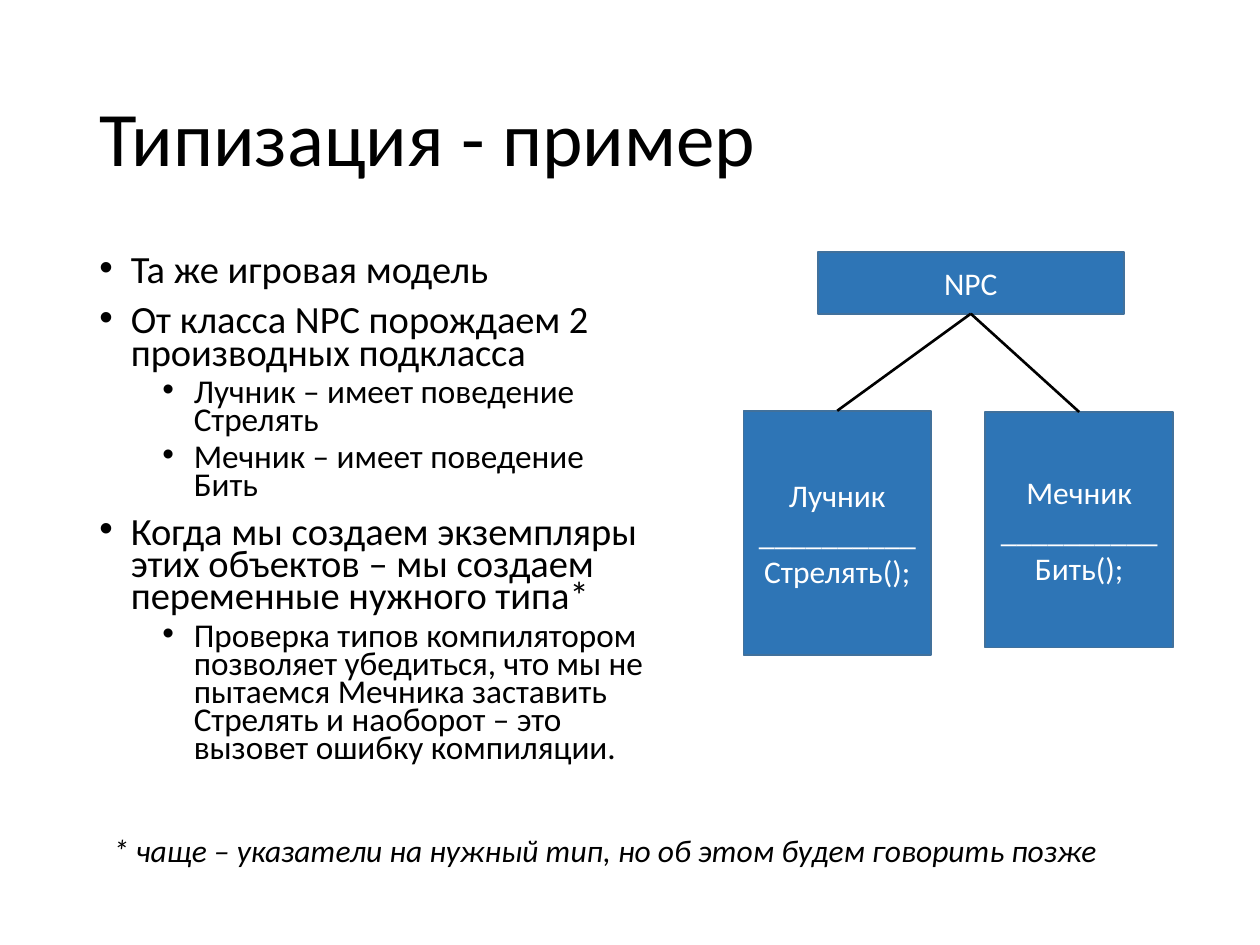
from lxml.etree import SubElement
from pptx import Presentation
from pptx.dml.color import RGBColor
from pptx.enum.shapes import MSO_CONNECTOR, MSO_SHAPE
from pptx.enum.text import MSO_ANCHOR, MSO_AUTO_SIZE, PP_ALIGN
from pptx.oxml.ns import qn
from pptx.util import Inches, Pt

COLORS = {"text": "000000", "node": "2E75B6", "edge": "41719C", "label": "FFFFFF"}
FONT = "Calibri"
CELL = 0.1  # grid step in inches: 100 columns by 75 rows
COLUMNS, ROWS = 100, 75

# Level, text
POINTS = [
    (0, "Та же игровая модель"),
    (0, "От класса NPC порождаем 2 производных подкласса"),
    (1, "Лучник – имеет поведение Стрелять"),
    (1, "Мечник – имеет поведение Бить"),
    (0, "Когда мы создаем экземпляры этих объектов – мы создаем переменные нужного типа*"),
    (1, "Проверка типов компилятором позволяет убедиться, что мы не пытаемся Мечника "
        "заставить Стрелять и наоборот – это вызовет ошибку компиляции."),
]
# Size, space before, indent in inches, by level
LEVELS = [(22, 10, 0.25), (19, 5, 0.75)]
RULE = "_" * 10


def grid(*cells):
    return [Inches(round(cell * CELL, 2)) for cell in cells]


def color(name):
    return RGBColor.from_string(COLORS[name])


class ClassSlide:
    def __init__(self, deck):
        self.page = deck.slides.add_slide(deck.slide_layouts[5])

    def add_span(self, para, text, size, ink="text", italic=False):
        span = para.add_run()
        span.text = text
        span.font.name, span.font.size = FONT, Pt(size)
        span.font.italic = italic
        span.font.color.rgb = color(ink)

    def title(self, area, text):
        box = self.page.shapes.title
        box.left, box.top, box.width, box.height = grid(*area)
        box.text_frame.vertical_anchor = MSO_ANCHOR.MIDDLE
        para = box.text_frame.paragraphs[0]
        para.alignment = PP_ALIGN.LEFT
        para.line_spacing = 0.9
        self.add_span(para, text, 44)

    def text_box(self, area):
        frame = self.page.shapes.add_textbox(*grid(*area)).text_frame
        frame.word_wrap = True
        return frame

    def bullets(self, area, points):
        frame = self.text_box(area)
        for index, (level, text) in enumerate(points):
            size, space, indent = LEVELS[level]
            para = frame.add_paragraph() if index else frame.paragraphs[0]
            para.level = level
            self.add_bullet(para, indent)
            para.line_spacing = 0.7
            para.space_before = Pt(space if index else 0)
            self.add_span(para, text, size)

    def add_bullet(self, para, indent):
        properties = para._p.get_or_add_pPr()
        properties.set("marL", str(Inches(indent)))
        properties.set("indent", str(Inches(-0.25)))
        bullet_color = SubElement(properties, qn("a:buClr"))
        SubElement(bullet_color, qn("a:srgbClr"), val=COLORS["text"])
        SubElement(properties, qn("a:buFont"), typeface="Arial")
        SubElement(properties, qn("a:buChar"), char="•")

    def note(self, area, text):
        frame = self.text_box(area)
        frame.auto_size = MSO_AUTO_SIZE.SHAPE_TO_FIT_TEXT
        self.add_span(frame.paragraphs[0], text, 18, italic=True)

    def node(self, area, *lines):
        box = self.page.shapes.add_shape(MSO_SHAPE.RECTANGLE, *grid(*area))
        box.shadow.inherit = False
        box.fill.solid()
        box.fill.fore_color.rgb = color("node")
        box.line.color.rgb = color("edge")
        box.line.width = Pt(1)
        frame = box.text_frame
        frame.word_wrap = True
        frame.vertical_anchor = MSO_ANCHOR.MIDDLE
        for index, text in enumerate(lines):
            para = frame.add_paragraph() if index else frame.paragraphs[0]
            para.alignment = PP_ALIGN.CENTER
            self.add_span(para, text, 18, "label")
        return box

    def link(self, child, parent):
        line = self.page.shapes.add_connector(MSO_CONNECTOR.STRAIGHT, 0, 0, 0, 0)
        line.begin_connect(child, 0)  # top middle
        line.end_connect(parent, 2)  # bottom middle
        line.line.color.rgb = color("text")
        line.line.width = Pt(1.5)
        SubElement(line._element.spPr, qn("a:effectLst"))


def main():
    deck = Presentation()
    deck.slide_width, deck.slide_height = grid(COLUMNS, ROWS)
    slide = ClassSlide(deck)

    # Title, main points and footnote
    slide.title((6.9, 4, 86.3, 14.5), "Типизация - пример")
    slide.bullets((6.9, 20, 45.6, 47.6), POINTS)
    slide.note((8, 65.5, 81.8, 4),
               "* чаще – указатели на нужный тип, но об этом будем говорить позже")

    # Class hierarchy
    base = slide.node((64.9, 20, 24.3, 4.9), "NPC")
    archer = slide.node((59, 32.6, 14.9, 19.4), "Лучник", RULE, "Стрелять();")
    swordsman = slide.node((78.2, 32.7, 14.9, 18.7), "Мечник", RULE, "Бить();")
    for child in (archer, swordsman):
        slide.link(child, base)

    deck.save("out.pptx")


if __name__ == "__main__":
    main()
